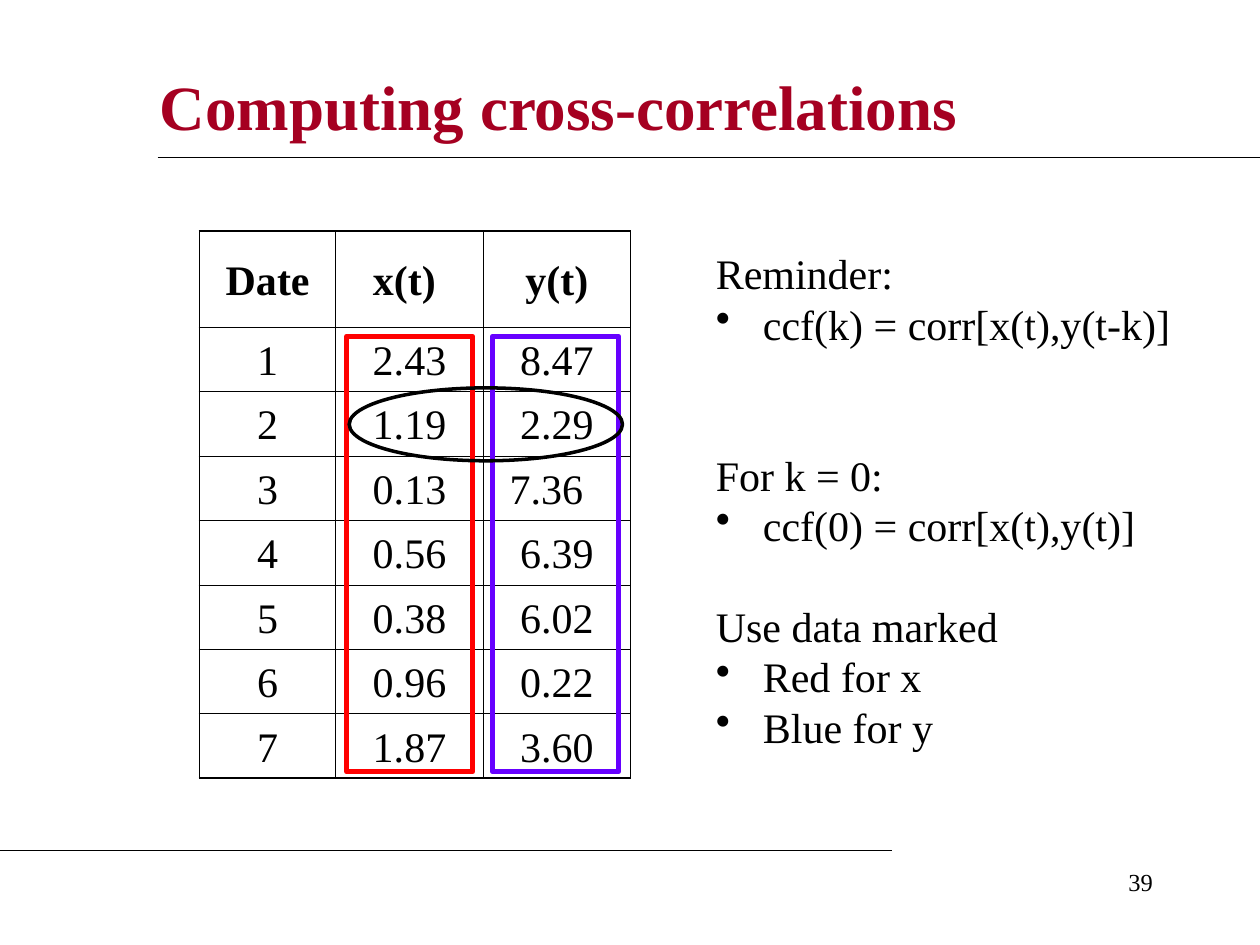
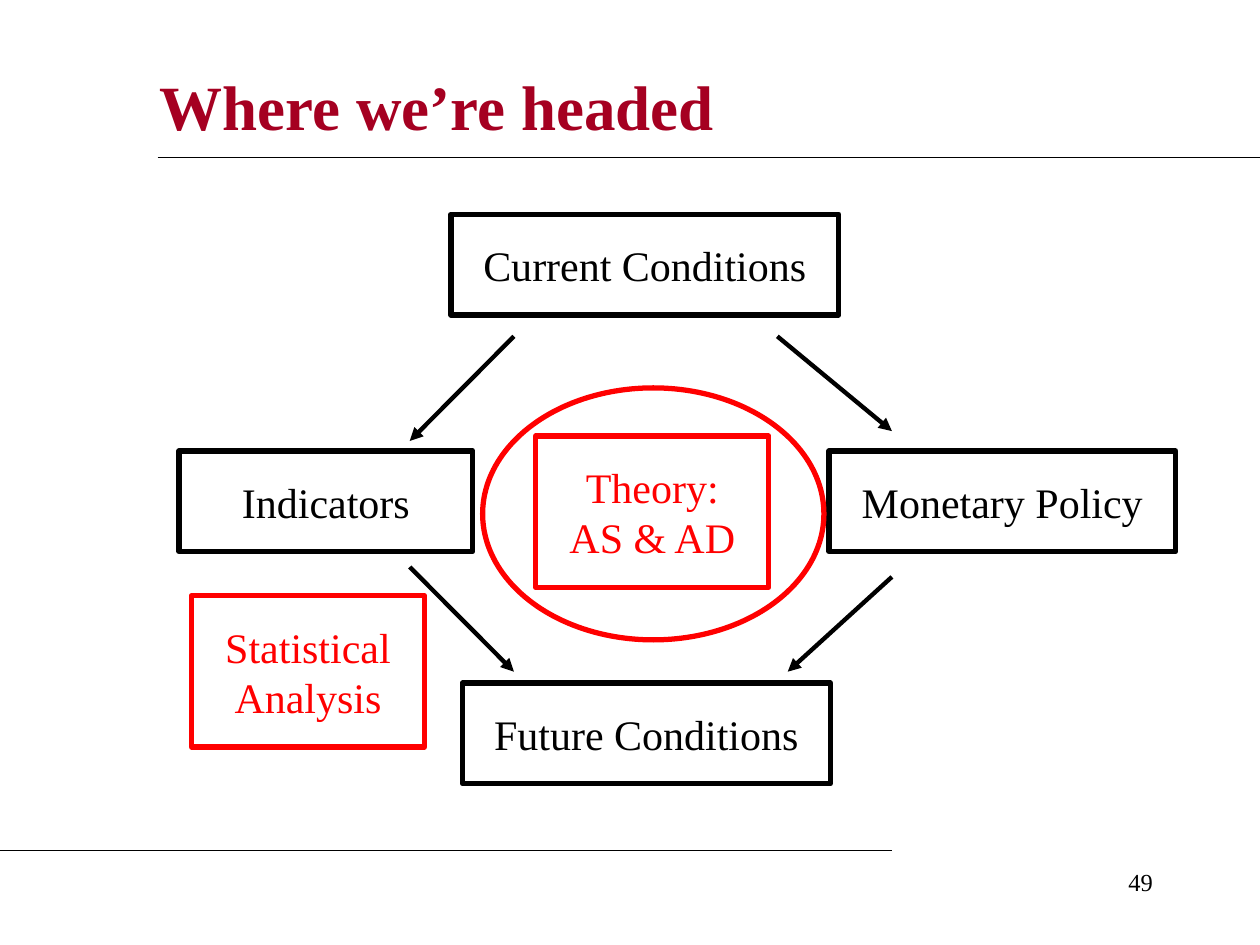
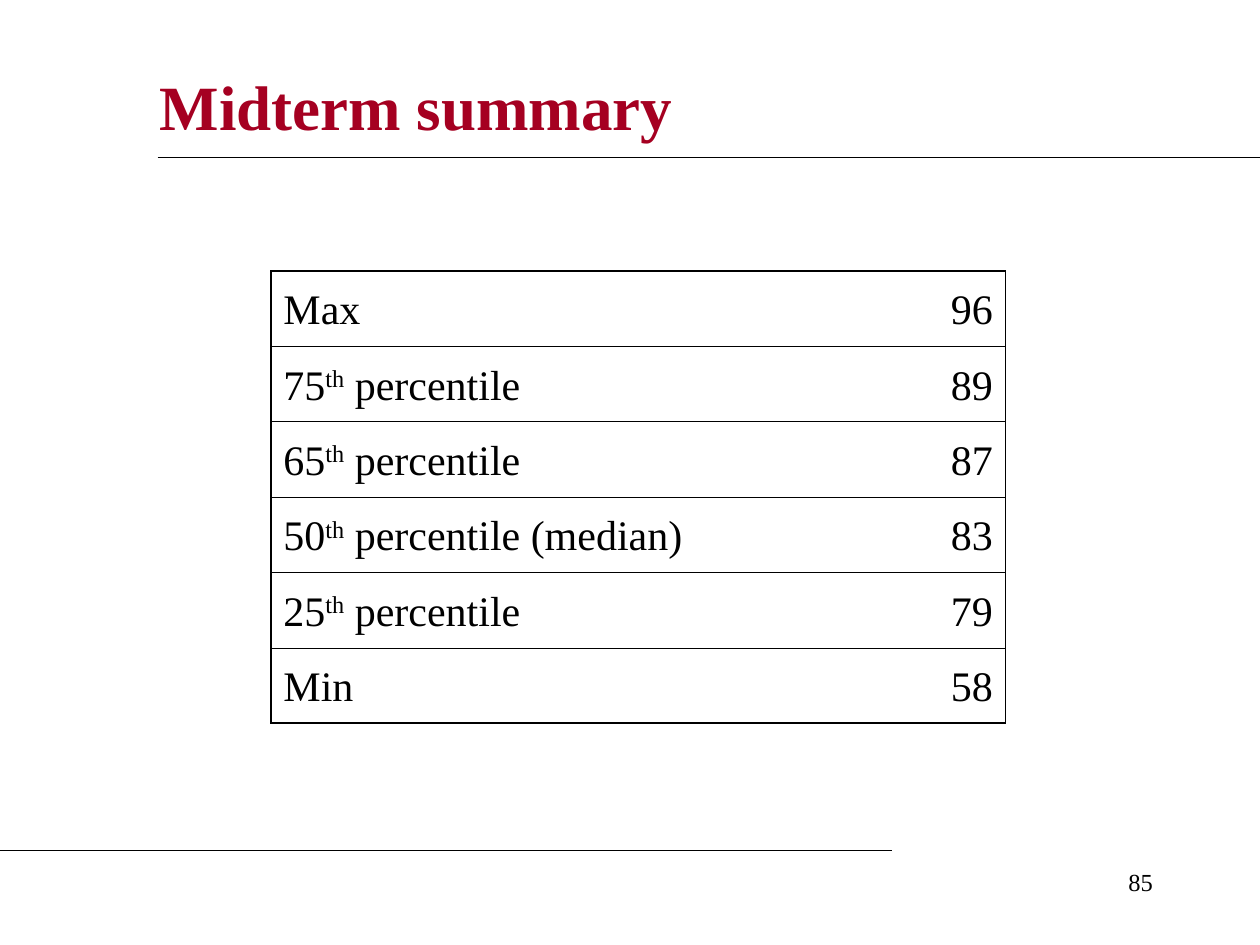
from lxml.etree import SubElement
from pptx import Presentation
from pptx.dml.color import RGBColor
from pptx.enum.shapes import MSO_CONNECTOR as CONNECTOR, MSO_SHAPE as SHAPE
from pptx.enum.text import MSO_ANCHOR as ANCHOR, PP_ALIGN as ALIGN
from pptx.oxml.ns import qn
from pptx.util import Cm, Pt

FONT = "Times New Roman"
COLORS = {"title": "A50021", "ink": "000000", "red": "FF0000", "blue": "6600FF"}
TITLE_BOX = (2.97, 1.07, 20.52, 2.11)
BODY_SIZE = 24
LINE_PITCH = 1.2
OUTER_BORDER, INNER_BORDER = 1.08, 0.45


def rgb(color):
    return RGBColor.from_string(COLORS[color])


def lengths(*values):
    return [Cm(value) for value in values]


def write(paragraph, text, size=BODY_SIZE, color="ink", bold=False, align=ALIGN.LEFT):
    paragraph.alignment = align
    paragraph.line_spacing = Pt(size * LINE_PITCH)
    for position, part in enumerate(text.split("^")):
        run = paragraph.add_run()
        run.text = part
        run.font.name, run.font.size, run.font.bold = FONT, Pt(size), bold
        run.font.color.rgb = rgb(color)
        if position % 2:
            run.font._element.set("baseline", "30000")


def add_line(slide, start, end, width=0.75, arrow=False):
    line = slide.shapes.add_connector(CONNECTOR.STRAIGHT, *lengths(*start, *end))
    line.line.color.rgb = rgb("ink")
    line.line.width = Pt(width)
    if arrow:
        SubElement(line.line._get_or_add_ln(), qn("a:tailEnd"), type="triangle")
    SubElement(line._element.spPr, qn("a:effectLst"))


def add_outline(slide, preset, box, color, width=3.0):
    outline = slide.shapes.add_shape(preset, *lengths(*box))
    outline.shadow.inherit = False
    outline.fill.background()
    outline.line.color.rgb = rgb(color)
    outline.line.width = Pt(width)
    return outline


def add_text_box(slide, box):
    frame = slide.shapes.add_textbox(*lengths(*box)).text_frame
    frame.word_wrap = True
    return frame


def add_page(deck, heading, number, title_box=TITLE_BOX):
    slide = deck.slides.add_slide(deck.slide_layouts[5])
    title = slide.shapes.title
    title.left, title.top, title.width, title.height = lengths(*title_box)
    title.text_frame.vertical_anchor = ANCHOR.MIDDLE
    write(title.text_frame.paragraphs[0], heading, 36, "title", bold=True)
    add_line(slide, (3.18, 3.18), (25.4, 3.18))
    add_line(slide, (0, 17.15), (17.98, 17.15))
    page_number = add_text_box(slide, (18.21, 17.35, 5.28, 1.27))
    write(page_number.paragraphs[0], str(number), 14, align=ALIGN.RIGHT)
    return slide


def set_borders(cell, widths):
    properties = cell._tc.get_or_add_tcPr()
    for side, width in zip("LRTB", widths):
        edge = SubElement(properties, qn(f"a:ln{side}"), w=str(Pt(width)))
        if width:
            fill = SubElement(edge, qn("a:solidFill"))
            SubElement(fill, qn("a:srgbClr"), val=COLORS["ink"])
        else:
            SubElement(edge, qn("a:noFill"))


def add_grid(slide, corner, rows, column_widths, row_heights, aligns,
             header=False, divider=INNER_BORDER):
    grid = slide.shapes.add_table(
        len(rows), len(column_widths),
        *lengths(*corner, sum(column_widths), sum(row_heights))).table
    grid.first_row = grid.horz_banding = False
    for column, width in zip(grid.columns, column_widths):
        column.width = Cm(width)
    last_row, last_column = len(rows) - 1, len(column_widths) - 1
    for r, values in enumerate(rows):
        grid.rows[r].height = Cm(row_heights[r])
        for c, value in enumerate(values):
            cell = grid.cell(r, c)
            set_borders(cell, (
                OUTER_BORDER if c == 0 else divider,
                OUTER_BORDER if c == last_column else divider,
                OUTER_BORDER if r == 0 else INNER_BORDER,
                OUTER_BORDER if r == last_row else INNER_BORDER))
            cell.fill.background()
            cell.vertical_anchor = ANCHOR.MIDDLE
            write(cell.text_frame.paragraphs[0], value,
                  bold=header and r == 0, align=aligns[c])
    return grid


def add_series(slide, left, top):
    rows = [("Date", "x(t)", "y(t)"), ("1", "2.43", "8.47"), ("2", "1.19", "2.29"),
            ("3", "0.13", "7.36"), ("4", "0.56", "6.39"), ("5", "0.38", "6.02"),
            ("6", "0.96", "0.22"), ("7", "1.87", "3.60")]
    series = add_grid(slide, (left, top), rows, (2.75, 2.97, 2.97),
                      [1.93] + [1.3] * 7, [ALIGN.CENTER] * 3, header=True)
    for row, column, nudge in ((0, 1, 0.21), (3, 2, 0.42)):
        series.cell(row, column).margin_right += Cm(nudge)
    for offset, color in ((2.97, "red"), (5.91, "blue")):
        add_outline(slide, SHAPE.RECTANGLE, (left + offset, top + 2.12, 2.54, 8.78), color)
    add_outline(slide, SHAPE.OVAL, (left + 3.02, top + 3.16, 5.51, 1.47), "ink", 2)


def add_reminder(slide, box):
    notes = [
        (0, "Reminder:", ["ccf(k) = corr[x(t),y(t-k)]"]),
        (2, "For k = 0:", ["ccf(0) = corr[x(t),y(t)]"]),
        (1, "Use data marked", ["Red for x", "Blue for y"]),
    ]
    frame = add_text_box(slide, box)
    frame.margin_right = 0
    for lines_above, lead, points in notes:
        for position, text in enumerate([lead, *points]):
            first = lead == notes[0][1] and position == 0
            paragraph = frame.paragraphs[0] if first else frame.add_paragraph()
            if position:
                properties = paragraph._p.get_or_add_pPr()
                properties.set("marL", str(Cm(0.95)))
                properties.set("indent", str(-Cm(0.95)))
                SubElement(properties, qn("a:buChar"), char="•")
            elif lines_above:
                paragraph.space_before = Pt(lines_above * BODY_SIZE * LINE_PITCH)
            write(paragraph, text)


def add_roadmap(slide, left, top):
    steps = [
        ("Indicators", (0, 4.77, 5.92, 2.03), "ink"),
        ("Monetary Policy", (13.1, 4.77, 6.99, 2.03), "ink"),
        ("Current Conditions", (5.48, 0, 7.82, 2.03), "ink"),
        ("Theory: AS & AD", (7.19, 4.47, 4.7, 3.05), "red"),
        ("Future Conditions", (5.71, 9.45, 7.42, 2.03), "ink"),
        ("Statistical Analysis", (0.25, 7.69, 4.7, 3.05), "red"),
    ]
    arrows = [
        ((6.75, 2.46), (4.65, 4.57)),
        ((12.06, 2.46), (14.37, 4.37)),
        ((14.37, 7.31), (12.27, 9.22)),
        ((4.65, 7.11), (6.75, 9.22)),
    ]
    for text, (x, y, width, height), color in steps:
        step = add_outline(slide, SHAPE.RECTANGLE, (left + x, top + y, width, height), color)
        frame = step.text_frame
        frame.word_wrap = True
        frame.vertical_anchor = ANCHOR.TOP
        frame.margin_left = frame.margin_right = Cm(0.51)
        frame.margin_top = frame.margin_bottom = Cm(0.51)
        write(frame.paragraphs[0], text, color=color, align=ALIGN.CENTER)
    for start, end in arrows:
        add_line(slide, *[(left + x, top + y) for x, y in (start, end)], 2.5, arrow=True)
    add_outline(slide, SHAPE.OVAL, (left + 6.12, top + 3.5, 6.88, 5.08), "red")


def add_scores(slide, left, top):
    scores = [("Max", "96"), ("75^th^ percentile", "89"), ("65^th^ percentile", "87"),
              ("50^th^ percentile (median)", "83"), ("25^th^ percentile", "79"),
              ("Min", "58")]
    add_grid(slide, (left, top), scores, (9.31, 5.5), [1.52] * len(scores),
             (ALIGN.LEFT, ALIGN.RIGHT), divider=0)


def main():
    deck = Presentation()
    deck.slide_width, deck.slide_height = lengths(25.4, 19.05)

    correlations = add_page(deck, "Computing cross-correlations", 39)
    add_reminder(correlations, (14.18, 4.87, 9.74, 10.58))
    add_series(correlations, 4.02, 4.66)

    add_roadmap(add_page(deck, "Where we’re headed", 49), 3.61, 4.32)

    summary = add_page(deck, "Midterm summary", 85, (2.97, 0.64, 21.59, 2.96))
    add_scores(summary, 5.46, 5.46)

    deck.save("out.pptx")


if __name__ == "__main__":
    main()
